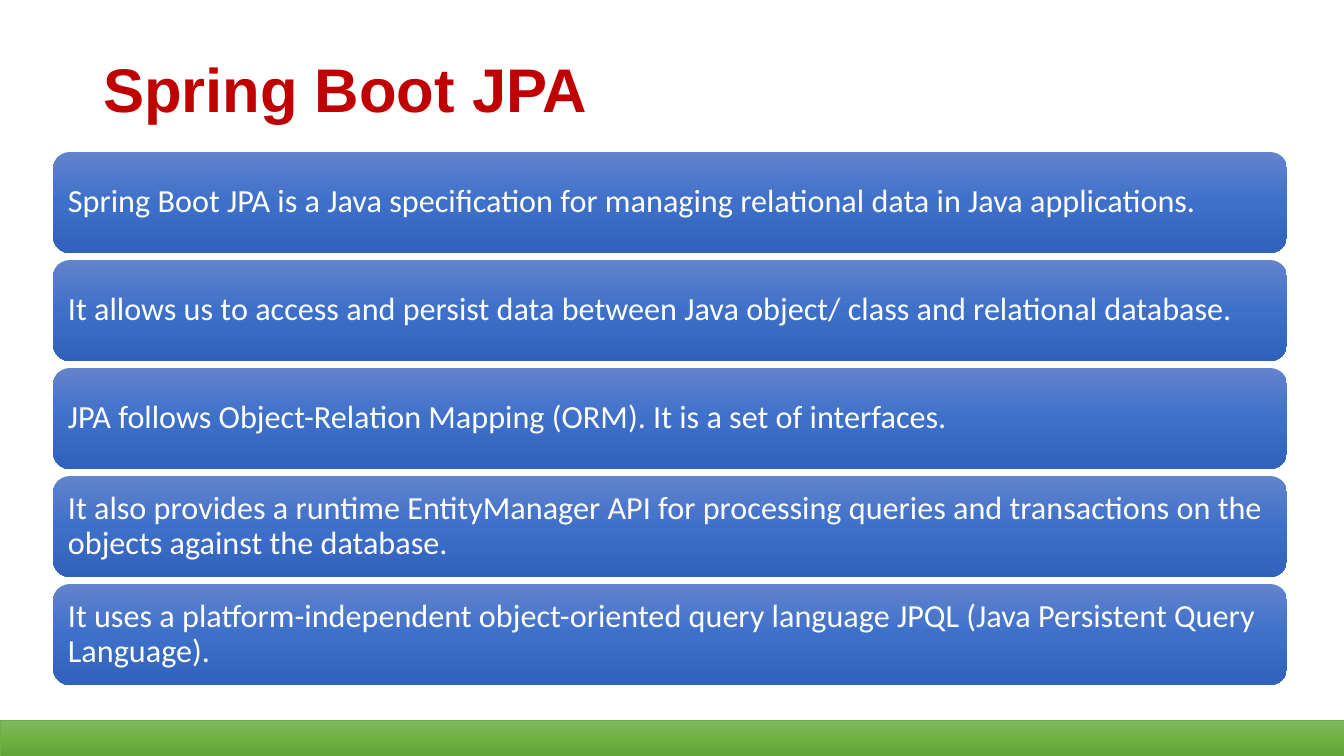
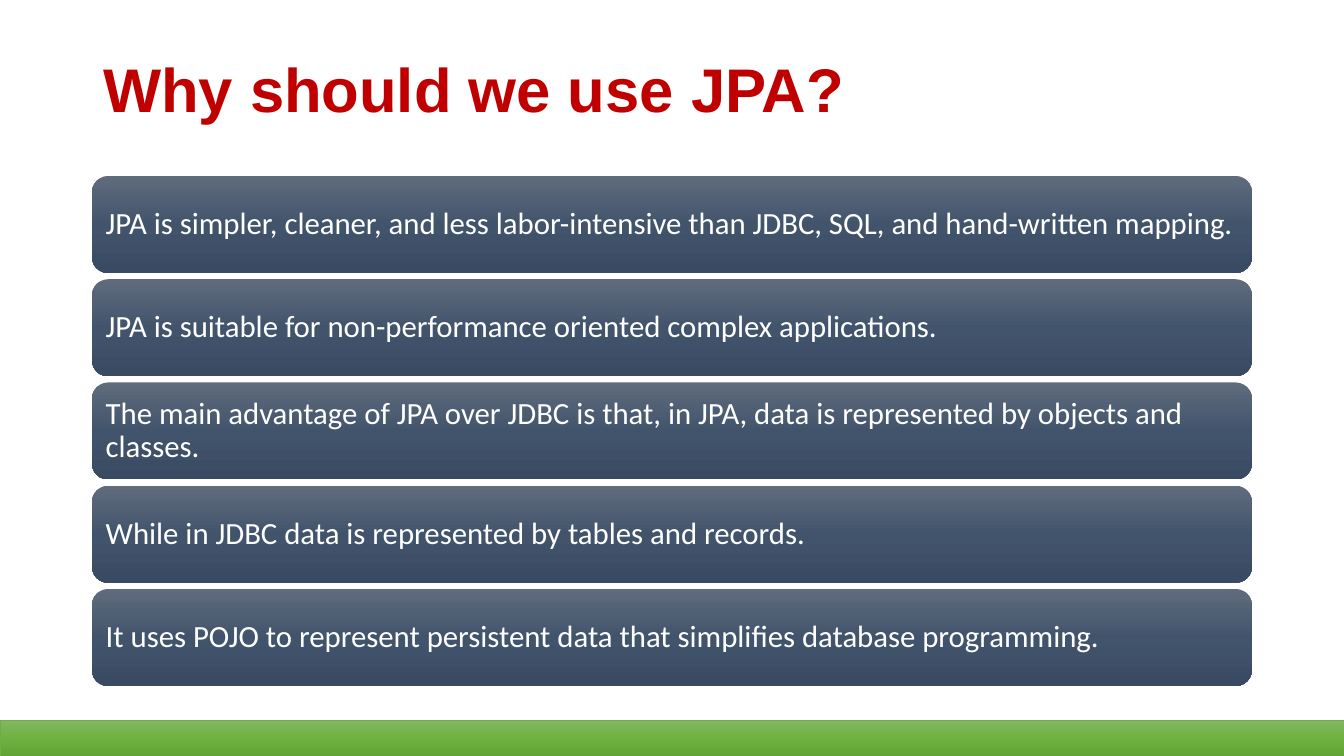
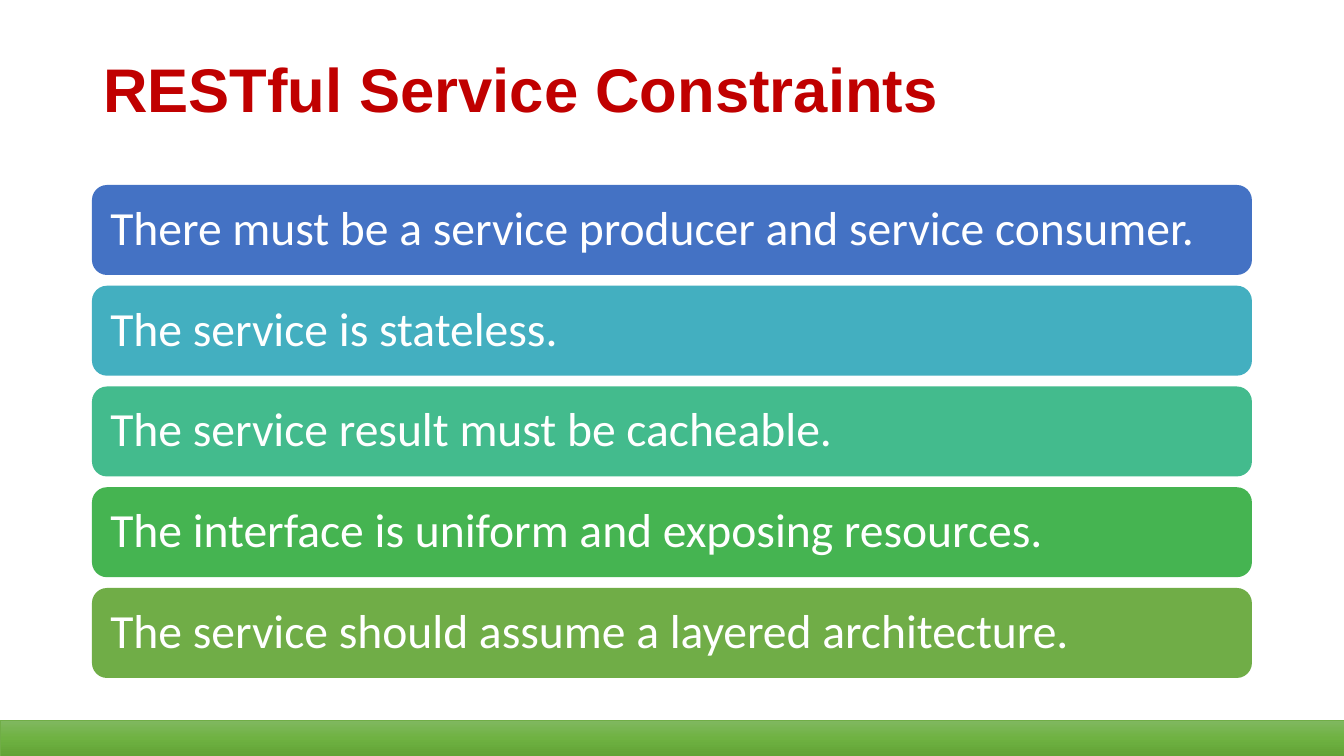
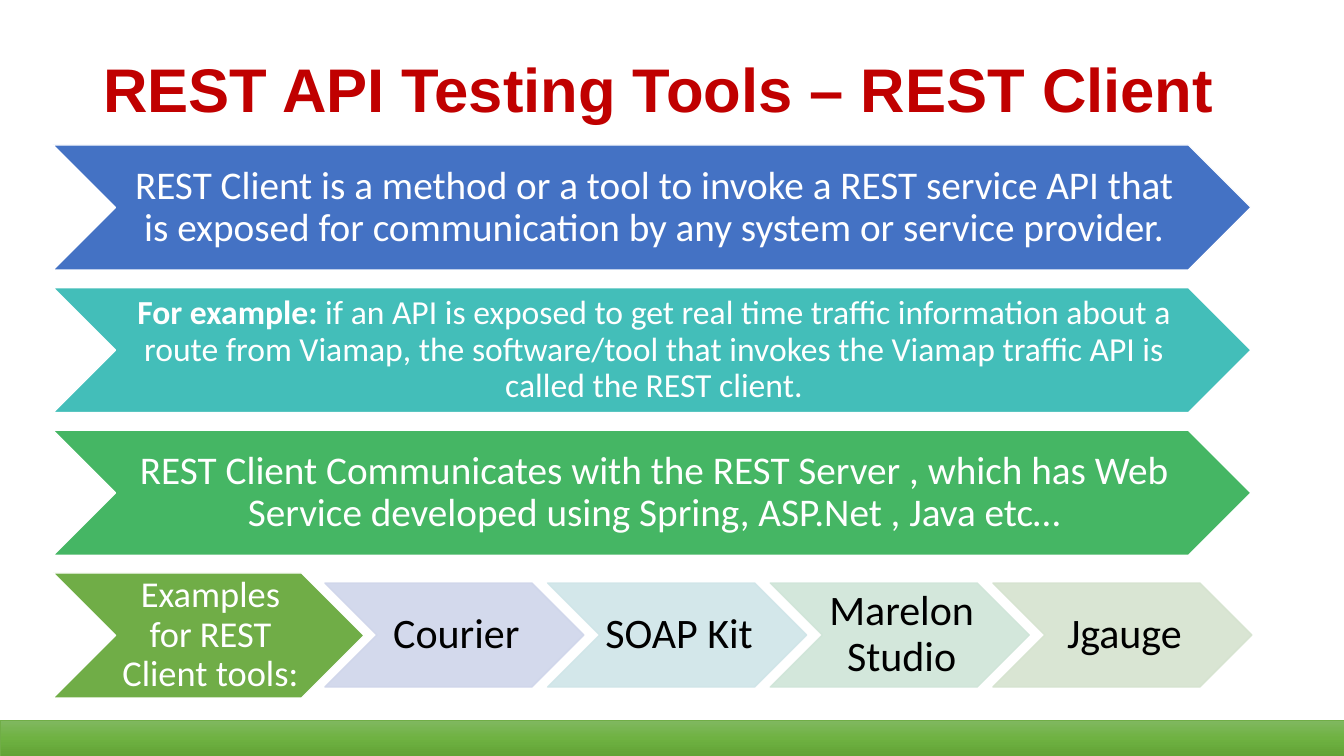
from copy import deepcopy

from lxml.etree import SubElement
from pptx import Presentation
from pptx.dml.color import RGBColor
from pptx.enum.shapes import MSO_SHAPE
from pptx.enum.text import MSO_ANCHOR, MSO_AUTO_SIZE, PP_ALIGN
from pptx.oxml.ns import qn
from pptx.util import Emu, Pt

SCALE = 914400 / 100.8
WIDTH, HEIGHT = 1344, 756

WHITE = RGBColor(0xFF, 0xFF, 0xFF)
BLACK = RGBColor(0x00, 0x00, 0x00)
RED = RGBColor(0xC0, 0x00, 0x00)
BLUE = RGBColor(0x44, 0x72, 0xC4)
CYAN = RGBColor(0x43, 0xAF, 0xC0)
TURQUOISE = RGBColor(0x43, 0xBE, 0xB9)
MINT = RGBColor(0x43, 0xBB, 0x8D)
EMERALD = RGBColor(0x45, 0xB6, 0x64)
LEAF = RGBColor(0x45, 0xB4, 0x51)
GREEN = RGBColor(0x70, 0xAD, 0x47)
PALE_BLUE = RGBColor(0xCF, 0xD5, 0xEA)
PALE_CYAN = RGBColor(0xCF, 0xE5, 0xE8)
PALE_MINT = RGBColor(0xCF, 0xE5, 0xD8)
PALE_GREEN = RGBColor(0xD5, 0xE3, 0xCF)
GREEN_SHADE = (RGBColor(0x81, 0xB8, 0x61), RGBColor(0x6F, 0xB2, 0x42),
               RGBColor(0x62, 0xA3, 0x36))
BLUE_SHADE = (RGBColor(0x61, 0x83, 0xCB), RGBColor(0x3E, 0x70, 0xCA),
              RGBColor(0x30, 0x62, 0xBB))
SLATE_SHADE = (RGBColor(0x60, 0x6B, 0x7D), RGBColor(0x42, 0x54, 0x6C),
               RGBColor(0x39, 0x4A, 0x62))


def px(length):
    """Turn pixels into EMU."""
    return Emu(round(length * SCALE))


def assign(target, values):
    """Set each attribute named in a dict."""
    for name, value in values.items():
        setattr(target, name, value)


def spread(start, end, size, count):
    """Give the starts of equal items that fill start to end with equal gaps."""
    pitch = (end - start - size) / (count - 1)
    return [start + pitch * index for index in range(count)]


class Slides:
    """Holds the deck, its style and the current slide."""

    TITLE = {"name": "Arial", "size": Pt(44), "bold": True}
    BODY = {"name": "Calibri", "bold": False}

    def __init__(self):
        """Start a wide deck."""
        self.deck = Presentation()
        assign(self.deck, {"slide_width": px(WIDTH), "slide_height": px(HEIGHT)})
        self.slide = None

    def start(self, title):
        """Add a slide with its title; the first one also sets up the band."""
        self.slide = self.deck.slides.add_slide(self.deck.slide_layouts[5])
        if len(self.deck.slides) == 1:
            self.master_band()
        box = self.slide.shapes.title
        assign(box, {"left": px(93), "top": px(40),
                     "width": px(1159), "height": px(105)})
        self.label(box, [(title, self.TITLE)], RED)

    def master_band(self):
        """Put the green footer band on the slide master."""
        band = self.shape(MSO_SHAPE.RECTANGLE, (0, 720, WIDTH, 36),
                          GREEN_SHADE, GREEN, 0.5)
        self.deck.slide_master.shapes.element.insert(2, band.element)

    def label(self, box, spans, colour, align=PP_ALIGN.LEFT, insets=None):
        """Put one paragraph of (text, font values) spans in a shape."""
        frame = box.text_frame
        assign(frame, {"word_wrap": True, "auto_size": MSO_AUTO_SIZE.NONE,
                       "vertical_anchor": MSO_ANCHOR.MIDDLE})
        if insets:
            sides = ("margin_left", "margin_top", "margin_right", "margin_bottom")
            assign(frame, dict(zip(sides, map(px, insets))))
        para = frame.paragraphs[0]
        assign(para, {"alignment": align, "line_spacing": 0.9})
        for text, values in spans:
            span = para.add_run()
            span.text = text
            assign(span.font, values)
            span.font.color.rgb = colour

    def shape(self, kind, area, fill, line=None, weight=1):
        """Add a shape with a plain colour or a three-colour shade."""
        shape = self.slide.shapes.add_shape(kind, *map(px, area))
        shape.shadow.inherit = False
        if isinstance(fill, RGBColor):
            shape.fill.solid()
            shape.fill.fore_color.rgb = fill
        else:
            self.shade(shape, fill)
        if line is None:
            shape.line.fill.background()
        else:
            shape.line.color.rgb = line
            shape.line.width = Pt(weight)
        return shape

    def shade(self, shape, colours):
        """Fill a shape from top to bottom with evenly placed colours."""
        shape.fill.gradient()
        shape.fill.gradient_angle = 270
        stops = next(shape.element.iter(qn("a:gsLst")))
        stops.insert(1, deepcopy(stops[0]))
        for index, (stop, colour) in enumerate(
                zip(shape.fill.gradient_stops, colours)):
            stop.position = index / (len(colours) - 1)
            stop.color.rgb = colour

    def bars(self, left, top, width, bottom, height, size, inset, items):
        """Stack rounded bars of (text, fill)."""
        tops = spread(top, bottom, height, len(items))
        for (text, fill), bar_top in zip(items, tops):
            bar = self.shape(MSO_SHAPE.ROUNDED_RECTANGLE,
                             (left, bar_top, width, height), fill)
            self.label(bar, [(text, {**self.BODY, "size": Pt(size)})], WHITE,
                       insets=(inset,) * 4)

    def chevron(self, area, size, text, fill, lead="", pale=False):
        """Add a chevron; lead is bold, pale ones are see-through."""
        arrow = self.shape(MSO_SHAPE.CHEVRON, area, fill, fill if pale else WHITE)
        if pale:
            for colour in arrow.element.spPr.iter(qn("a:srgbClr")):
                SubElement(colour, qn("a:alpha")).set("val", "90000")
        font = {**self.BODY, "size": Pt(size)}
        spans = [(text, font)]
        if lead:
            spans.insert(0, (lead, {**font, "bold": True}))
        self.label(arrow, spans, BLACK if pale else WHITE,
                   PP_ALIGN.CENTER, (4, 2, 0, 2))


def build_jpa(slides):
    """Build the slide on what JPA is."""
    slides.start("Spring Boot JPA")
    facts = (
        "Spring Boot JPA is a Java specification for managing relational data "
        "in Java applications.",
        "It allows us to access and persist data between Java object/ class "
        "and relational database.",
        "JPA follows Object-Relation Mapping (ORM). It is a set of interfaces.",
        "It also provides a runtime EntityManager API for processing queries "
        "and transactions on the objects against the database.",
        "It uses a platform-independent object-oriented query language JPQL "
        "(Java Persistent Query Language).",
    )
    slides.bars(53, 152, 1234, 685, 101, 23, 10,
                [(fact, BLUE_SHADE) for fact in facts])


def build_reasons(slides):
    """Build the slide on why to use JPA."""
    slides.start("Why should we use JPA?")
    reasons = (
        "JPA is simpler, cleaner, and less labor-intensive than JDBC, SQL, "
        "and hand-written mapping.",
        "JPA is suitable for non-performance oriented complex applications.",
        "The main advantage of JPA over JDBC is that, in JPA, data is "
        "represented by objects and classes.",
        "While in JDBC data is represented by tables and records.",
        "It uses POJO to represent persistent data that simplifies database "
        "programming.",
    )
    slides.bars(92, 176, 1160, 686, 97, 22, 9,
                [(reason, SLATE_SHADE) for reason in reasons])


def build_constraints(slides):
    """Build the slide on service constraints."""
    slides.start("RESTful Service Constraints")
    slides.bars(92, 185, 1160, 678, 90, 34, 14, [
        ("There must be a service producer and service consumer.", BLUE),
        ("The service is stateless.", CYAN),
        ("The service result must be cacheable.", MINT),
        ("The interface is uniform and exposing resources.", LEAF),
        ("The service should assume a layered architecture.", GREEN),
    ])


def build_tools(slides):
    """Build the slide on REST clients and example tools."""
    slides.start("REST API Testing Tools – REST Client")
    rows = (
        (1198, 28, "REST Client is a method or a tool to invoke a REST service "
         "API that is exposed for communication by any system or service "
         "provider.", BLUE, ""),
        (1198, 24, "if an API is exposed to get real time traffic information "
         "about a route from Viamap, the software/tool that invokes the Viamap "
         "traffic API is called the REST client.", TURQUOISE, "For example: "),
        (1198, 28, "REST Client Communicates with the REST Server , which has "
         "Web Service developed using Spring, ASP.Net , Java etc…", EMERALD, ""),
        (311, 26, "Examples for REST Client tools:", GREEN, ""),
    )
    for top, (width, *content) in zip(spread(145, 698, 125, len(rows)), rows):
        slides.chevron((53, top, width, 125), *content)
    tools = (("Courier", PALE_BLUE), ("SOAP Kit", PALE_CYAN),
             ("Marelon Studio", PALE_MINT), ("Jgauge", PALE_GREEN))
    for left, (name, fill) in zip(spread(325, 1252, 259, len(tools)), tools):
        slides.chevron((left, 583, 259, 104), 30, name, fill, pale=True)


def main():
    """Build and save the deck."""
    slides = Slides()
    for build in (build_jpa, build_reasons, build_constraints, build_tools):
        build(slides)
    slides.deck.save("out.pptx")


main()
